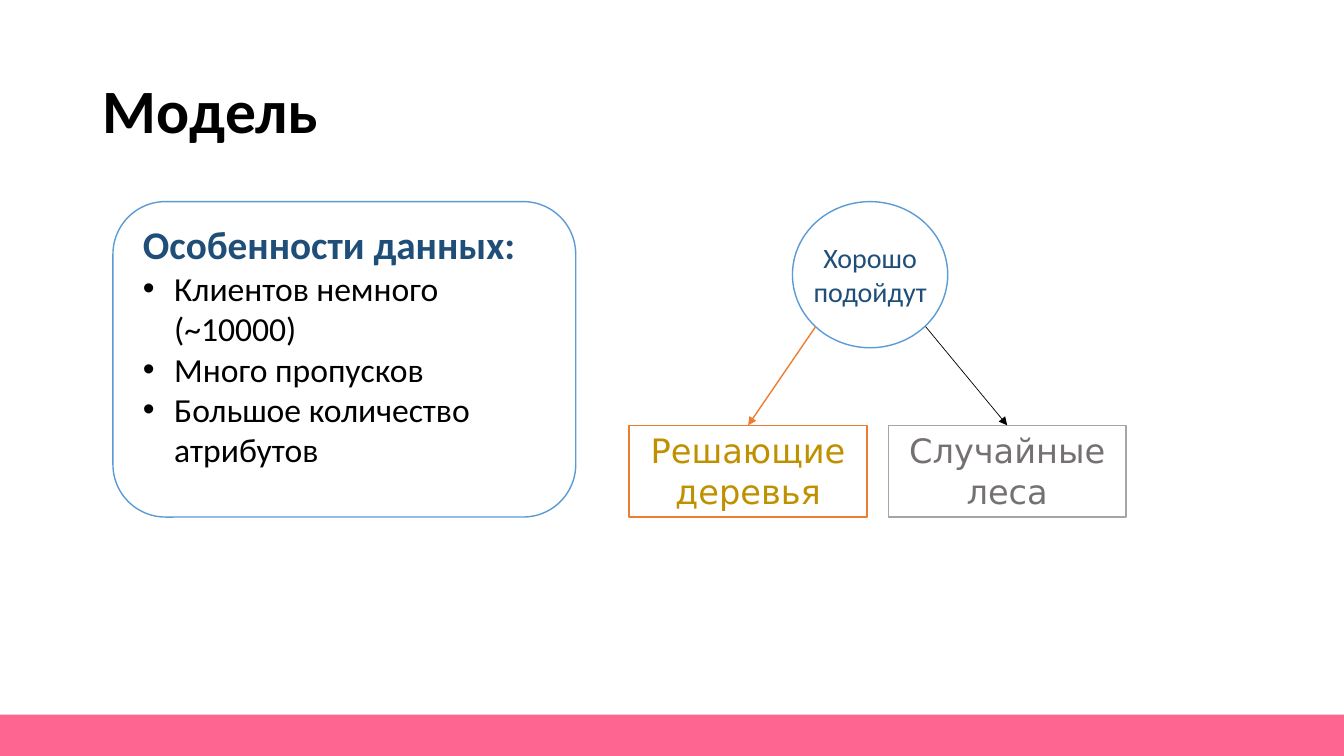
"""Builds the slide about choosing a model for the client data."""
from lxml import etree
from pptx import Presentation
from pptx.dml.color import RGBColor
from pptx.enum import shapes, text
from pptx.oxml import ns
from pptx.util import Inches, Pt

TITLE = "Модель"
FEATURES_HEADING = "Особенности данных:"
FEATURES = ["Клиентов немного (~10000)", "Много пропусков", "Большое количество атрибутов"]
ROOT = "Хорошо подойдут"
MODELS = [
    {"label": "Решающие деревья", "color": "BF9000", "border": "ED7D31",
     "arrow": "ED7D31", "weight": 1, "start": 8.09},
    {"label": "Случайные леса", "color": "767171", "border": "A5A5A5",
     "arrow": "000000", "weight": 0.5, "start": 9.18},
]
BLUE, NAVY, PINK, WHITE, BLACK = "5B9BD5", "1F4E79", "FF6591", "FFFFFF", "000000"
MODEL_LEFT, MODEL_TOP, MODEL_WIDTH, MODEL_HEIGHT, MODEL_STEP = 6.24, 4.22, 2.36, 0.91, 2.57
ARROW_TOP = 3.24
INDENT = 0.31


def rgb(color):
    return RGBColor.from_string(color)


def box(left, top, width, height):
    return [Inches(length) for length in (left, top, width, height)]


def set_font(paragraph, size, color, name="Calibri", bold=False):
    font = paragraph.font
    font.size, font.name, font.bold = Pt(size), name, bold
    font.color.rgb = rgb(color)


def add_figure(preset, place, fill, border=None):
    figure = slide.shapes.add_shape(preset, *box(*place))
    figure.shadow.inherit = False
    figure.fill.solid()
    figure.fill.fore_color.rgb = rgb(fill)
    if border:
        figure.line.color.rgb = rgb(border)
        figure.line.width = Pt(1)
    else:
        figure.line.fill.background()
    return figure


def add_label(place):
    frame = slide.shapes.add_textbox(*box(*place)).text_frame
    frame.word_wrap = True
    return frame


def add_bullet(paragraph):
    properties = paragraph._p.get_or_add_pPr()
    properties.set("marL", str(Inches(INDENT)))
    properties.set("indent", str(-Inches(INDENT)))
    etree.SubElement(properties, ns.qn("a:buFont"), typeface="Arial")
    etree.SubElement(properties, ns.qn("a:buChar"), char="•")


def add_arrow(start, model_box, color, weight):
    arrow = slide.shapes.add_connector(
        shapes.MSO_CONNECTOR.STRAIGHT, Inches(start), Inches(ARROW_TOP),
        model_box.left + model_box.width // 2, model_box.top)
    arrow.end_connect(model_box, 0)
    arrow.line.color.rgb = rgb(color)
    arrow.line.width = Pt(weight)
    etree.SubElement(arrow.line._get_or_add_ln(), ns.qn("a:tailEnd"), type="triangle")
    etree.SubElement(arrow._element.spPr, ns.qn("a:effectLst"))


deck = Presentation()
deck.slide_width, deck.slide_height = Inches(13.33), Inches(7.5)
slide = deck.slides.add_slide(deck.slide_layouts[5])

title = slide.shapes.title
title.left, title.top, title.width, title.height = box(0.92, 0.4, 11.5, 1.45)
title.text_frame.text = TITLE
title.text_frame.vertical_anchor = text.MSO_ANCHOR.MIDDLE
heading = title.text_frame.paragraphs[0]
heading.alignment = text.PP_ALIGN.LEFT
heading.line_spacing = 0.9
set_font(heading, 44, BLACK, bold=True)

add_figure(shapes.MSO_SHAPE.RECTANGLE, (0, 7.09, 13.33, 0.41), PINK)

add_figure(shapes.MSO_SHAPE.ROUNDED_RECTANGLE, (1.12, 2, 4.59, 3.13), WHITE, BLUE)
features = add_label((1.32, 2.14, 4.2, 2.59))
features.text = FEATURES_HEADING
set_font(features.paragraphs[0], 28, NAVY, bold=True)
for feature in FEATURES:
    item = features.add_paragraph()
    item.text = feature
    add_bullet(item)
    set_font(item, 24, BLACK)

add_figure(shapes.MSO_SHAPE.OVAL, (7.86, 2, 1.54, 1.45), WHITE, BLUE)
root = add_label((7.92, 2.34, 1.42, 0.77))
root.text = ROOT
root.paragraphs[0].alignment = text.PP_ALIGN.CENTER
set_font(root.paragraphs[0], 20, NAVY)

for column, model in enumerate(MODELS):
    place = (MODEL_LEFT + column * MODEL_STEP, MODEL_TOP, MODEL_WIDTH, MODEL_HEIGHT)
    model_box = add_figure(shapes.MSO_SHAPE.RECTANGLE, place, WHITE, model["border"])
    model_box.text_frame.text = model["label"]
    model_box.text_frame.vertical_anchor = text.MSO_ANCHOR.TOP
    name = model_box.text_frame.paragraphs[0]
    name.alignment = text.PP_ALIGN.CENTER
    set_font(name, 24, model["color"], "DejaVu Sans")
    add_arrow(model["start"], model_box, model["arrow"], model["weight"])

deck.save("out.pptx")
